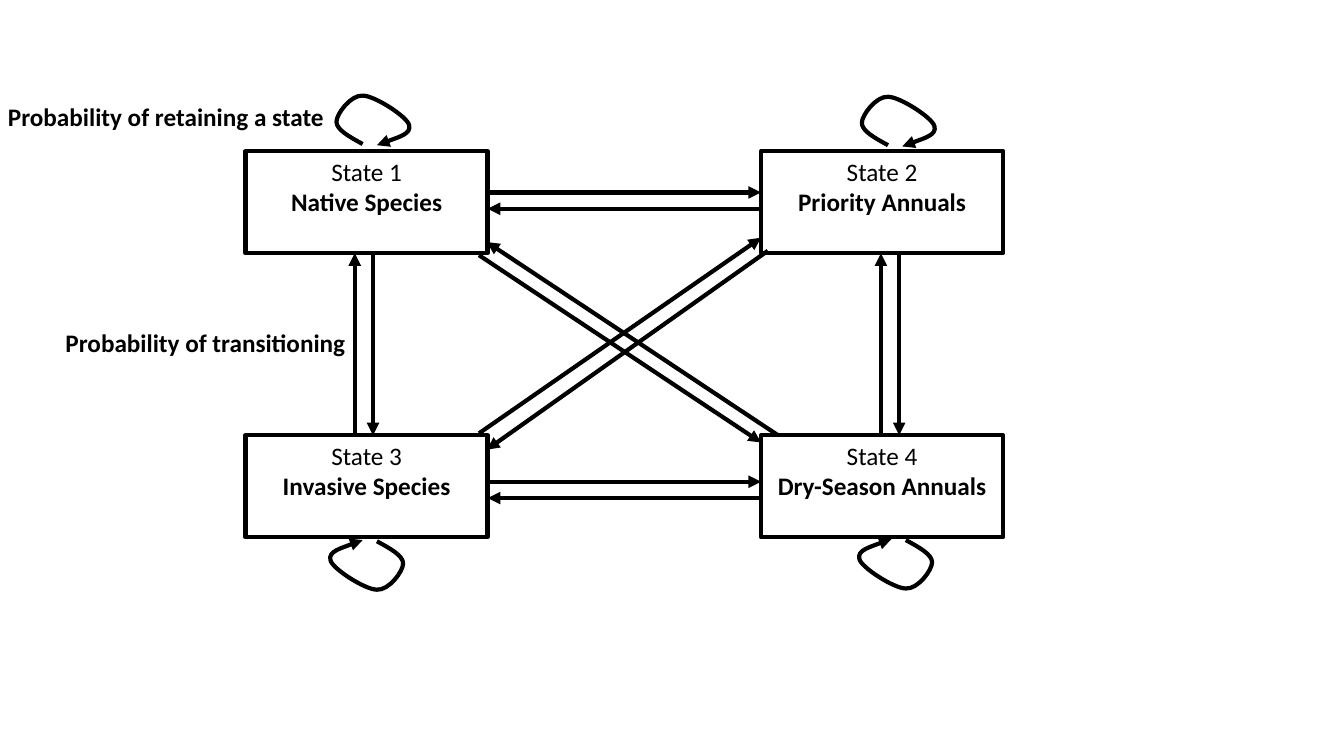
"""Builds a state-transition diagram of four plant communities."""
from dataclasses import dataclass

from lxml import etree
from pptx import Presentation
from pptx import util as u
from pptx.dml.color import RGBColor
from pptx.enum import shapes, text
from pptx.oxml.ns import qn


@dataclass(frozen=True)
class Theme:
    ink: RGBColor = RGBColor(0, 0, 0)
    font: str = "Calibri"
    size: u.Pt = u.Pt(18)
    line: u.Pt = u.Pt(3)


@dataclass(frozen=True)
class State:
    number: int
    name: str
    left: float
    top: float


@dataclass(frozen=True)
class Arrow:
    x1: float
    y1: float
    x2: float
    y2: float


@dataclass(frozen=True)
class Loop:
    x: float
    y: float
    turn: int


@dataclass(frozen=True)
class Label:
    wording: str
    left: float
    top: float
    width: float


THEME = Theme()
BOX_W, BOX_H = 6.1, 2.57
LEFT, RIGHT = 6.19, 19.18
TOP, BOTTOM = 3.81, 10.97

STATES = [
    State(1, "Native Species", LEFT, TOP),
    State(3, "Invasive Species", LEFT, BOTTOM),
    State(4, "Dry-Season Annuals", RIGHT, BOTTOM),
    State(2, "Priority Annuals", RIGHT, TOP),
]
ROWS = [TOP + 1.04, BOTTOM + 1.17]
COLUMNS = [LEFT + 2.75, RIGHT + 3.02]
ROW_GAP, COLUMN_GAP = 0.41, 0.46
DIAGONALS = [
    Arrow(19.61, BOTTOM, 12.27, 6.1),
    Arrow(12.07, 6.43, RIGHT, 11.15),
    Arrow(12.07, 10.92, RIGHT, 5.99),
    Arrow(19.35, 6.32, 12.27, 11.33),
]
LOOPS = [Loop(9.14, 3.63, 1), Loop(22.38, 3.66, 1),
         Loop(22.83, 13.61, -1), Loop(9.5, 13.64, -1)]
LOOP_CURVE = [
    (-0.33, -0.18), (-0.66, -0.36), (-0.66, -0.56),
    (-0.66, -0.76), (-0.3, -1.24), (0, -1.22),
    (0.3, -1.22), (1.12, -0.69), (1.17, -0.48),
    (1.24, -0.25), (0.36, 0.03), (0.36, 0.03),
]
LABELS = [
    Label("Probability of retaining a state", -0.05, 2.44, 8.53),
    Label("Probability of transitioning", 1.4, 8.13, 7.62),
]


def style_line(shape, arrow: bool = False) -> None:
    shape.line.color.rgb = THEME.ink
    shape.line.width = THEME.line
    if arrow:
        ln = shape.line._get_or_add_ln()
        etree.SubElement(ln, qn("a:tailEnd"), type="triangle")


def style_paragraph(p, bold: bool) -> None:
    p.font.name = THEME.font
    p.font.size = THEME.size
    p.font.bold = bold
    p.font.color.rgb = THEME.ink


def draw_state(s, state: State) -> None:
    sp = s.shapes.add_shape(shapes.MSO_SHAPE.RECTANGLE, u.Cm(state.left),
                            u.Cm(state.top), u.Cm(BOX_W), u.Cm(BOX_H))
    sp.shadow.inherit = False
    sp.fill.background()
    style_line(sp)
    tf = sp.text_frame
    tf.vertical_anchor = text.MSO_ANCHOR.TOP
    tf.text = f"State {state.number}\n{state.name}"
    for p, bold in zip(tf.paragraphs, (False, True)):
        p.alignment = text.PP_ALIGN.CENTER
        style_paragraph(p, bold)


def draw_arrow(s, arrow: Arrow) -> None:
    line = s.shapes.add_connector(shapes.MSO_CONNECTOR.STRAIGHT,
                                  u.Cm(arrow.x1), u.Cm(arrow.y1),
                                  u.Cm(arrow.x2), u.Cm(arrow.y2))
    style_line(line, arrow=True)
    etree.SubElement(line._element.spPr, qn("a:effectLst"))


def draw_loop(s, loop: Loop) -> None:
    points = [(u.Cm(loop.x + loop.turn * dx), u.Cm(loop.y + loop.turn * dy))
              for dx, dy in LOOP_CURVE]
    builder = s.shapes.build_freeform(u.Cm(loop.x), u.Cm(loop.y))
    builder.add_line_segments(points, close=False)
    sp = builder.convert_to_shape()
    sp.shadow.inherit = False
    sp.fill.background()
    style_line(sp, arrow=True)
    segments = list(sp._element.iter(qn("a:lnTo")))
    for i in range(0, len(segments), 3):
        curve = etree.Element(qn("a:cubicBezTo"))
        segments[i].addprevious(curve)
        for segment in segments[i:i + 3]:
            curve.append(segment[0])
            segment.getparent().remove(segment)


def draw_label(s, label: Label) -> None:
    sp = s.shapes.add_textbox(u.Cm(label.left), u.Cm(label.top),
                              u.Cm(label.width), u.Cm(1.02))
    tf = sp.text_frame
    tf.word_wrap = False
    tf.text = label.wording
    style_paragraph(tf.paragraphs[0], True)


def main() -> None:
    prs = Presentation()
    prs.slide_width, prs.slide_height = u.Cm(33.87), u.Cm(19.05)
    s = prs.slides.add_slide(prs.slide_layouts[6])
    for state in STATES:
        draw_state(s, state)
    for y in ROWS:
        draw_arrow(s, Arrow(LEFT + BOX_W, y, RIGHT, y))
        draw_arrow(s, Arrow(RIGHT, y + ROW_GAP, LEFT + BOX_W, y + ROW_GAP))
    for x in COLUMNS:
        draw_arrow(s, Arrow(x, BOTTOM, x, TOP + BOX_H))
        draw_arrow(s, Arrow(x + COLUMN_GAP, TOP + BOX_H, x + COLUMN_GAP, BOTTOM))
    for arrow in DIAGONALS:
        draw_arrow(s, arrow)
    for loop in LOOPS:
        draw_loop(s, loop)
    for label in LABELS:
        draw_label(s, label)
    prs.save("out.pptx")


main()
